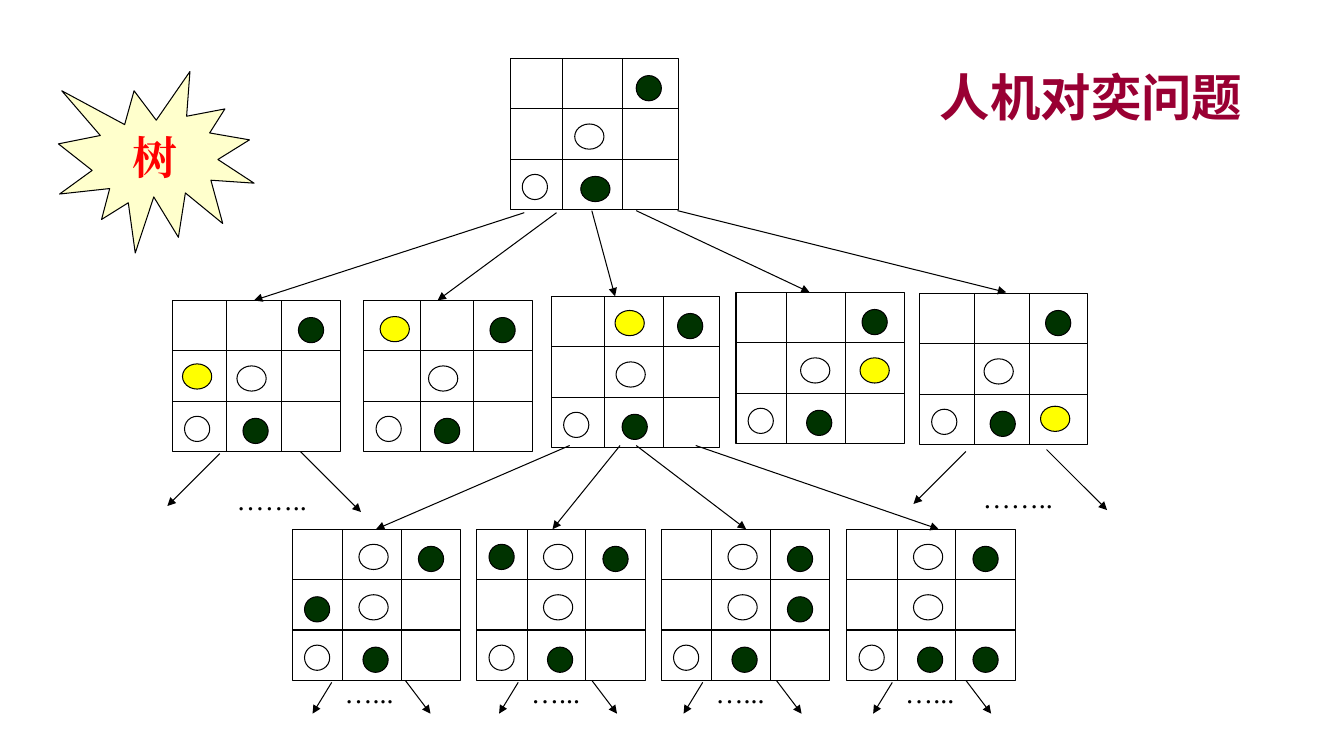
from dataclasses import dataclass
from typing import Optional

from lxml.etree import SubElement
from pptx import Presentation
from pptx.dml.color import RGBColor
from pptx.enum.shapes import MSO_CONNECTOR as Connector, MSO_SHAPE as Preset
from pptx.enum.text import MSO_ANCHOR as Anchor, MSO_AUTO_SIZE as AutoSize, PP_ALIGN as Align
from pptx.oxml.ns import qn
from pptx.shapes.autoshape import Shape
from pptx.util import Emu, Pt

EMU_PER_PX = 9144


@dataclass(frozen=True)
class Theme:
    ink: str = "000000"
    dark: str = "003300"
    light: str = "FFFFFF"
    move: str = "FFFF00"
    burst: str = "FFFFCC"
    burst_text: str = "FF0000"
    title: str = "990033"
    heading_font: str = "Noto Sans CJK SC"
    body_font: str = "Times New Roman"
    title_size: int = 36
    burst_size: int = 32
    dots_size: int = 20
    line_width: float = 0.75


THEME = Theme()


@dataclass(frozen=True)
class Disc:
    x: int
    y: int
    width: int
    color: str


@dataclass(frozen=True)
class Arrow:
    x1: int
    y1: int
    x2: int
    y2: int


@dataclass(frozen=True)
class Board:
    left: int
    top: int
    columns: tuple[int, int]
    discs: tuple[Disc, ...]
    arrow: Optional[Arrow] = None


@dataclass(frozen=True)
class Continuation:
    dots: str
    left: int
    top: int
    width: int
    arrows: tuple[Arrow, Arrow]


BOARD_WIDTH, BOARD_HEIGHT, ROW = 167, 150, 50
DISC_HEIGHT, NARROW, WIDE = 25, 25, 29
TEXT_HEIGHT = 43


def position(center_x: int = 64, last_width: int = NARROW) -> tuple[Disc, ...]:
    return (
        Disc(125, 17, NARROW, THEME.dark),
        Disc(center_x, 65, WIDE, THEME.light),
        Disc(12, 115, NARROW, THEME.light),
        Disc(70, 117, last_width, THEME.dark),
    )


def white_move(x: int, y: int) -> tuple[Disc, ...]:
    return (*position(), Disc(x, y, WIDE, THEME.move))


def black_reply(x: int, y: int) -> tuple[Disc, ...]:
    return (*position(66), Disc(66, 15, WIDE, THEME.light), Disc(x, y, NARROW, THEME.dark))


BOARDS = (
    Board(506, 58, (52, 111), position(last_width=WIDE)),
    Board(171, 298, (54, 108), white_move(10, 63), Arrow(520, 211, 252, 298)),
    Board(361, 298, (56, 109), white_move(16, 16), Arrow(552, 211, 434, 298)),
    Board(547, 294, (53, 111), white_move(63, 14), Arrow(587, 209, 610, 294)),
    Board(730, 290, (50, 109), white_move(123, 65), Arrow(631, 209, 803, 290)),
    Board(912, 291, (55, 109), white_move(120, 112), Arrow(672, 209, 998, 290)),
    Board(290, 525, (50, 108), black_reply(12, 67), Arrow(565, 442, 373, 525)),
    Board(473, 525, (50, 108), black_reply(12, 15), Arrow(615, 442, 548, 525)),
    Board(656, 525, (50, 108), black_reply(125, 67), Arrow(631, 442, 740, 525)),
    Board(840, 525, (50, 108), black_reply(125, 117), Arrow(690, 442, 931, 525)),
)

LONG_ARROWS = (Arrow(-7, -24, -59, 28), Arrow(73, -26, 133, 34))
SHORT_ARROWS = (Arrow(-3, 12, -22, 43), Arrow(70, 10, 95, 43))
CONTINUATIONS = (
    *(Continuation("……..", left, top, 90, LONG_ARROWS) for left, top in ((965, 472), (225, 474))),
    *(Continuation("…...", left, 665, 69, SHORT_ARROWS) for left in (332, 517, 700, 888)),
)


def px(length: int) -> Emu:
    return Emu(length * EMU_PER_PX)


def rgb(color: str) -> RGBColor:
    return RGBColor.from_string(color)


def draw_line(shapes, x1: int, y1: int, x2: int, y2: int, arrowhead: bool = False) -> None:
    line = shapes.add_connector(Connector.STRAIGHT, px(x1), px(y1), px(x2), px(y2))
    line.line.color.rgb = rgb(THEME.ink)
    line.line.width = Pt(THEME.line_width)
    if arrowhead:
        SubElement(line.line._get_or_add_ln(), qn("a:tailEnd"), type="triangle")
    SubElement(line._element.spPr, qn("a:effectLst"))


def draw_shape(shapes, preset: Preset, left: int, top: int, width: int, height: int,
               color: Optional[str] = None) -> Shape:
    shape = shapes.add_shape(preset, px(left), px(top), px(width), px(height))
    shape.shadow.inherit = False
    shape.line.color.rgb = rgb(THEME.ink)
    shape.line.width = Pt(THEME.line_width)
    if color is None:
        shape.fill.background()
    else:
        shape.fill.solid()
        shape.fill.fore_color.rgb = rgb(color)
    return shape


def write(box: Shape, text: str, font: str, size: int, color: str,
          align: Align = Align.LEFT, bold: bool = False) -> None:
    para = box.text_frame.paragraphs[0]
    para.alignment = align
    span = para.add_run()
    span.text = text
    span.font.name = font
    span.font.size = Pt(size)
    span.font.bold = bold
    span.font.color.rgb = rgb(color)
    SubElement(span.font._element, qn("a:ea"), typeface=font)


def draw_board(page, board: Board) -> None:
    shapes = page.shapes.add_group_shape().shapes
    left, top = board.left, board.top
    draw_shape(shapes, Preset.RECTANGLE, left, top, BOARD_WIDTH, BOARD_HEIGHT)
    for row in (ROW, 2 * ROW):
        draw_line(shapes, left, top + row, left + BOARD_WIDTH, top + row)
    for column in board.columns:
        draw_line(shapes, left + column, top, left + column, top + BOARD_HEIGHT)
    for disc in board.discs:
        draw_shape(shapes, Preset.OVAL, left + disc.x, top + disc.y,
                   disc.width, DISC_HEIGHT, disc.color)
    if board.arrow:
        arrow = board.arrow
        draw_line(shapes, arrow.x1, arrow.y1, arrow.x2, arrow.y2, arrowhead=True)


def draw_continuation(page, item: Continuation) -> None:
    for arrow in item.arrows:
        draw_line(page.shapes, item.left + arrow.x1, item.top + arrow.y1,
                  item.left + arrow.x2, item.top + arrow.y2, arrowhead=True)
    box = page.shapes.add_textbox(px(item.left), px(item.top), px(item.width), px(TEXT_HEIGHT))
    box.text_frame.word_wrap = False
    box.text_frame.auto_size = AutoSize.SHAPE_TO_FIT_TEXT
    write(box, item.dots, THEME.body_font, THEME.dots_size, THEME.ink)


def draw_burst(page) -> None:
    burst = draw_shape(page.shapes, Preset.EXPLOSION1, 58, 71, 194, 180, THEME.burst)
    burst.text_frame.vertical_anchor = Anchor.MIDDLE
    write(burst, "树", THEME.body_font, THEME.burst_size, THEME.burst_text, Align.CENTER, True)


def draw_title(page) -> None:
    box = page.shapes.add_textbox(px(100), px(58), px(1142), px(75))
    box.text_frame.word_wrap = True
    box.text_frame.vertical_anchor = Anchor.MIDDLE
    write(box, "人机对奕问题", THEME.heading_font, THEME.title_size, THEME.title, Align.RIGHT, True)


def main() -> None:
    deck = Presentation()
    deck.slide_width, deck.slide_height = px(1333), px(750)
    page = deck.slides.add_slide(deck.slide_layouts[6])
    for board in BOARDS:
        draw_board(page, board)
    draw_burst(page)
    for item in CONTINUATIONS:
        draw_continuation(page, item)
    draw_title(page)
    deck.save("out.pptx")


if __name__ == "__main__":
    main()
